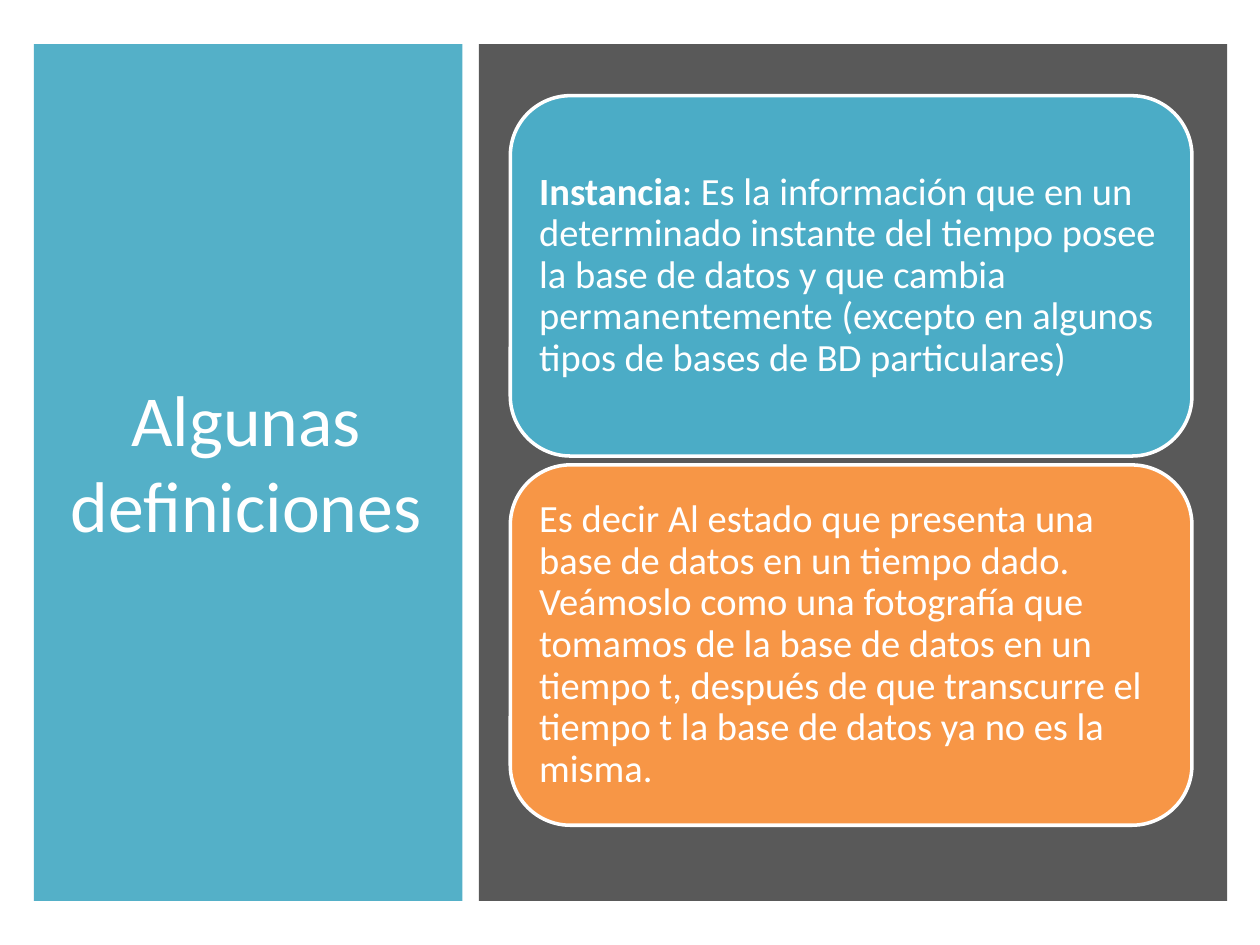
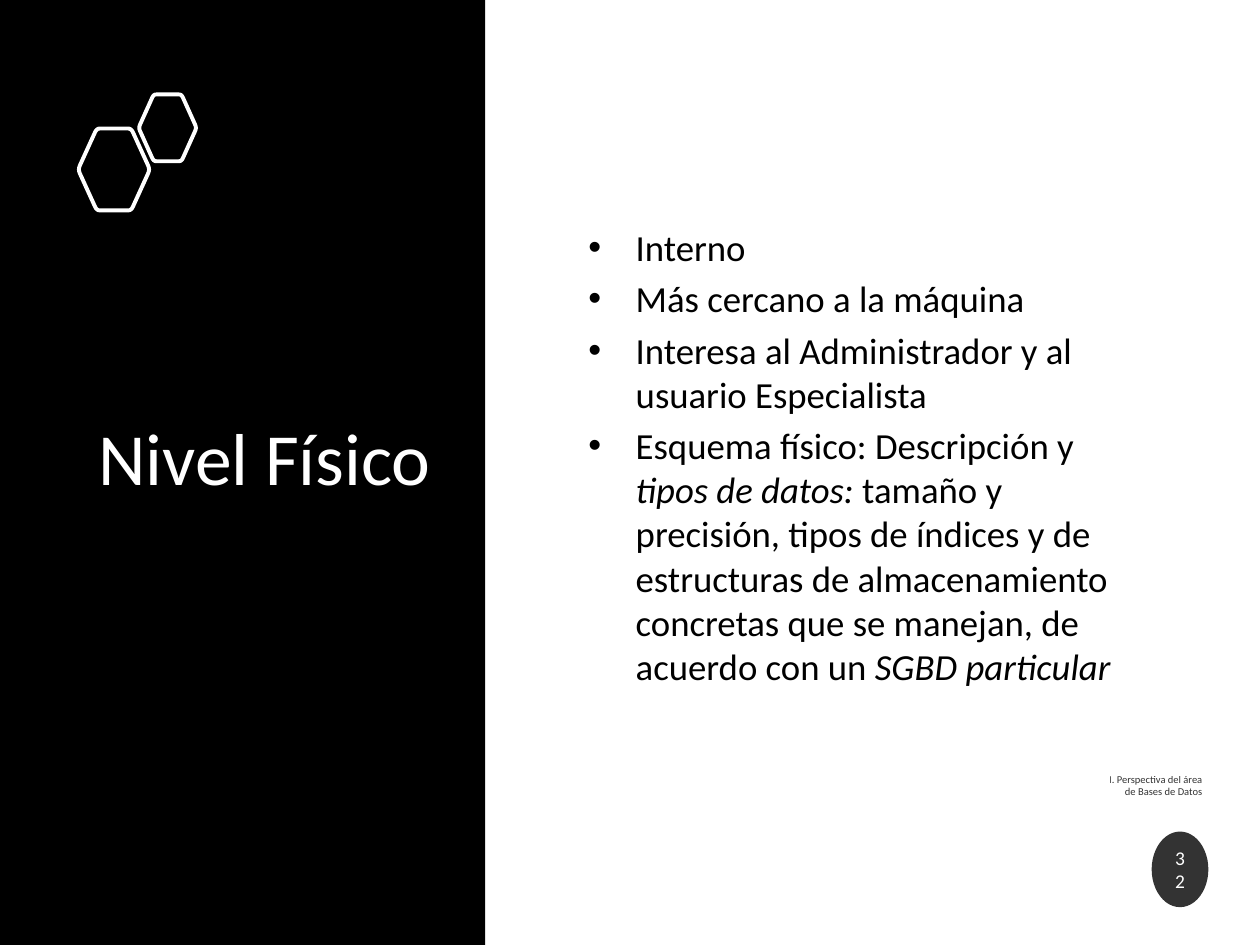
from lxml.etree import SubElement
from pptx import Presentation
from pptx.dml.color import RGBColor
from pptx.enum.shapes import MSO_SHAPE
from pptx.enum.text import MSO_ANCHOR, MSO_AUTO_SIZE, PP_ALIGN
from pptx.oxml.ns import qn
from pptx.util import Inches, Pt

# The grid: 100 columns by 75 rows over the slide
COLUMNS, ROWS = 100, 75
TITLE_AND_CONTENT, TITLE_ONLY = 1, 5

WHITE, BLACK, GRAY = "FFFFFF", "000000", "595959"
TEAL, ORANGE = "4BACC6", "F79646"
FONT = "Calibri"


def paint(fill, color, opacity=100):
    """Give a fill a solid hex colour, with opacity in percent."""
    fill.solid()
    fill.fore_color.rgb = RGBColor.from_string(color)
    if opacity < 100:
        color_element = fill._xPr.find(".//" + qn("a:srgbClr"))
        SubElement(color_element, qn("a:alpha")).set("val", str(opacity * 1000))


def write(text_frame, paragraphs, size, color=WHITE, opacity=100, align=PP_ALIGN.LEFT,
          line_spacing=None, gap=0, margin=None):
    """Fill a frame; each paragraph is a list of (text, emphasis) runs."""
    text_frame.word_wrap = True
    text_frame.auto_size = MSO_AUTO_SIZE.NONE
    text_frame.vertical_anchor = MSO_ANCHOR.MIDDLE
    if margin is not None:
        text_frame.margin_left = text_frame.margin_right = Inches(margin)
        text_frame.margin_top = text_frame.margin_bottom = Inches(margin)
    for index, runs in enumerate(paragraphs):
        paragraph = text_frame.paragraphs[0] if index == 0 else text_frame.add_paragraph()
        paragraph.alignment = align
        paragraph.space_before = Pt(gap if index else 0)
        if line_spacing:
            paragraph.line_spacing = line_spacing
        for text, emphasis in runs:
            run = paragraph.add_run()
            run.text = text
            run.font.name, run.font.size = FONT, Pt(size)
            run.font.bold = emphasis == "bold"
            run.font.italic = emphasis == "italic"
            paint(run.font.fill, color, opacity)


def plain(text):
    return [(text, None)]


def rounded_hexagon(left, top, width, height):
    """Outline points of a hexagon whose corners are softened by short curves."""
    corners = [(0, .5), (.26, 0), (.74, 0), (1, .5), (.74, 1), (.26, 1)]
    points = []
    for index, corner in enumerate(corners):
        before, after = corners[index - 1], corners[(index + 1) % len(corners)]
        start, end = ([c + .09 * (n - c) for c, n in zip(corner, neighbour)]
                      for neighbour in (before, after))
        for t in (0, .25, .5, .75, 1):
            x, y = ((1 - t) ** 2 * s + 2 * t * (1 - t) * c + t ** 2 * e
                    for s, c, e in zip(start, corner, end))
            points.append((int(left + x * width), int(top + y * height)))
    return points


class Deck:
    """Holds the presentation, its grid and the current slide."""

    def __init__(self):
        self.presentation = Presentation()
        self.presentation.slide_width = Inches(10)
        self.presentation.slide_height = Inches(7.5)
        self.column = self.presentation.slide_width / COLUMNS
        self.row = self.presentation.slide_height / ROWS
        self.slide = None

    def box(self, left, top, width, height):
        return (int(left * self.column), int(top * self.row),
                int(width * self.column), int(height * self.row))

    def new_slide(self, layout):
        self.slide = self.presentation.slides.add_slide(
            self.presentation.slide_layouts[layout])

    def placeholder(self, index, cells, paragraphs, **text_format):
        """Place a template placeholder in front of what is already drawn."""
        shape = self.slide.placeholders[index]
        shape.left, shape.top, shape.width, shape.height = self.box(*cells)
        self.slide.shapes._spTree.append(shape._element)
        write(shape.text_frame, paragraphs, **text_format)

    def title(self, text, cells, size):
        self.placeholder(0, cells, [plain(text)], size=size, align=PP_ALIGN.CENTER)

    def bullets(self, paragraphs, cells, size):
        self.placeholder(1, cells, paragraphs, size=size, color=BLACK, gap=size * .2)

    def shape(self, kind, cells, color, opacity=100, outline=None):
        shape = self.slide.shapes.add_shape(kind, *self.box(*cells))
        shape.shadow.inherit = False
        paint(shape.fill, color, opacity)
        if outline:
            paint(shape.line.fill, outline)
            shape.line.width = Pt(2)
        else:
            shape.line.fill.background()
        return shape

    def panel(self, cells, color, opacity=100):
        self.shape(MSO_SHAPE.RECTANGLE, cells, color, opacity)

    def card(self, runs, cells, color):
        card = self.shape(MSO_SHAPE.ROUNDED_RECTANGLE, cells, color, outline=WHITE)
        write(card.text_frame, [runs], size=22, line_spacing=.9, margin=.09)

    def hexagon(self, cells):
        first, *others = rounded_hexagon(*self.box(*cells))
        builder = self.slide.shapes.build_freeform(*first)
        builder.add_line_segments(others, close=True)
        hexagon = builder.convert_to_shape()
        hexagon.shadow.inherit = False
        hexagon.fill.background()
        paint(hexagon.line.fill, WHITE)
        hexagon.line.width = Pt(2.25)

    def footer(self, text, cells):
        footer = self.slide.shapes.add_textbox(*self.box(*cells))
        write(footer.text_frame, [plain(text)], size=6, color=BLACK, opacity=80,
              align=PP_ALIGN.RIGHT, line_spacing=.9)

    def page_badge(self, number, cells):
        badge = self.shape(MSO_SHAPE.OVAL, cells, BLACK, opacity=80)
        write(badge.text_frame, [plain(number)], size=11.1, align=PP_ALIGN.CENTER)


def build_definitions(deck):
    deck.new_slide(TITLE_ONLY)

    # Title panel and dark panel
    deck.panel((2.7, 3.5, 34, 68), TEAL, opacity=95)
    deck.title("Algunas definiciones", (4.3, 6.4, 30.5, 60.4), size=41)
    deck.panel((38, 3.5, 59.4, 68), GRAY)

    # Stacked definition cards
    definitions = [
        (TEAL, [("Instancia", "bold"),
                (": Es la información que en un determinado instante del tiempo posee "
                 "la base de datos y que cambia permanentemente (excepto en algunos "
                 "tipos de bases de BD particulares)", None)]),
        (ORANGE, plain("Es decir Al estado que presenta una base de datos en un tiempo dado. "
                       "Veámoslo como una fotografía que tomamos de la base de datos en un "
                       "tiempo t, después de que transcurre el tiempo t la base de datos ya "
                       "no es la misma.")),
    ]
    card_height, card_gap = 28.6, .7
    for index, (color, runs) in enumerate(definitions):
        top = 7.6 + index * (card_height + card_gap)
        deck.card(runs, (40.5, top, 54.1, card_height), color)


def build_physical_level(deck):
    deck.new_slide(TITLE_AND_CONTENT)

    # Dark side band with hexagons and title
    deck.panel((0, 0, 38.5, ROWS), BLACK)
    for cells in [(6.2, 10.2, 5.7, 6.5), (11, 7.5, 4.6, 5.3)]:
        deck.hexagon(cells)
    deck.title("Nivel Físico", (6.3, 12.8, 29.4, 46.8), size=42)

    # Features of the level
    deck.bullets([
        plain("Interno"),
        plain("Más cercano a la máquina"),
        plain("Interesa al Administrador y al usuario Especialista"),
        [("Esquema físico: Descripción y ", None),
         ("tipos de datos:", "italic"),
         (" tamaño y precisión, tipos de índices y de estructuras de almacenamiento "
          "concretas que se manejan, de acuerdo con un ", None),
         ("SGBD particular", "italic")],
    ], (45.7, 12.8, 46.9, 46.8), size=21)

    # Footer and page number
    deck.footer("I. Perspectiva del área de Bases de Datos", (86.3, 60.4, 10.1, 4))
    deck.page_badge("32", (91.4, 66, 4.5, 6))


def main():
    deck = Deck()
    build_definitions(deck)
    build_physical_level(deck)
    deck.presentation.save("out.pptx")


if __name__ == "__main__":
    main()
